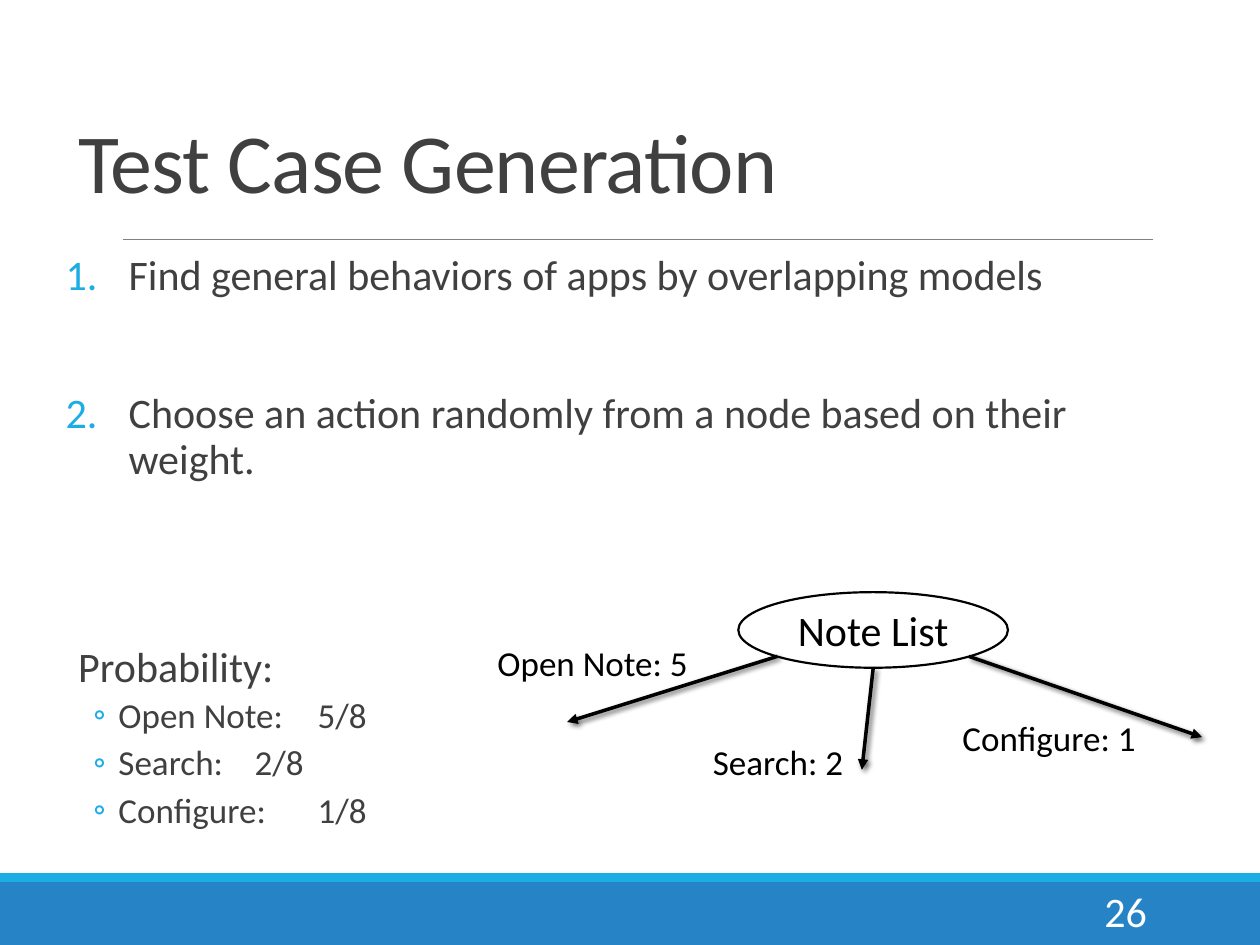
from lxml.etree import SubElement
from pptx import Presentation
from pptx.dml.color import RGBColor as Rgb
from pptx.enum.shapes import MSO_CONNECTOR as Connector, MSO_SHAPE as Shape
from pptx.enum.text import MSO_ANCHOR as Anchor, PP_ALIGN as Align
from pptx.oxml.ns import qn
from pptx.util import Pt

COLORS = {
    "band": "2683C6",
    "accent": "1CADE4",
    "rule": "808080",
    "text": "404040",
    "black": "000000",
    "white": "FFFFFF",
}


class SlideBuilder:
    font = "Calibri"

    def __init__(self, deck):
        self.slide = deck.slides.add_slide(deck.slide_layouts[6])

    def color(self, name):
        return Rgb.from_string(COLORS[name])

    def span(self, para, text, size, color, spacing=None):
        run = para.add_run()
        run.text = text
        run.font.name = self.font
        run.font.size = Pt(size)
        run.font.color.rgb = self.color(color)
        if spacing is not None:
            run.font._element.set("spc", str(int(spacing * 100)))

    def shape(self, kind, left, top, width, height, fill, line=None):
        shape = self.slide.shapes.add_shape(
            kind, Pt(left), Pt(top), Pt(width), Pt(height))
        shape.shadow.inherit = False
        shape.fill.solid()
        shape.fill.fore_color.rgb = self.color(fill)
        if line:
            shape.line.color.rgb = self.color(line)
            shape.line.width = Pt(1.25)
        else:
            shape.line.fill.background()
        return shape

    def text_frame(self, left, top, width, height, anchor=Anchor.TOP):
        box = self.slide.shapes.add_textbox(
            Pt(left), Pt(top), Pt(width), Pt(height))
        frame = box.text_frame
        frame.word_wrap = True
        frame.vertical_anchor = anchor
        return frame

    def label(self, text, left, top, width, height, size=20, color="black",
              align=Align.LEFT, anchor=Anchor.TOP):
        para = self.text_frame(left, top, width, height, anchor).paragraphs[0]
        para.alignment = align
        self.span(para, text, size, color)

    def line(self, start, end, color, width, arrow=False):
        line = self.slide.shapes.add_connector(
            Connector.STRAIGHT, *map(Pt, start + end))
        line.line.color.rgb = self.color(color)
        line.line.width = Pt(width)
        effects = SubElement(line._element.spPr, qn("a:effectLst"))
        if arrow:
            SubElement(line.line._ln, qn("a:tailEnd"), type="triangle")
            shadow = SubElement(
                effects, qn("a:outerShdw"), blurRad=str(Pt(3)),
                dist=str(Pt(2)), dir="2700000", algn="tl", rotWithShape="0")
            tint = SubElement(shadow, qn("a:srgbClr"), val=COLORS[color])
            SubElement(tint, qn("a:alpha"), val="60000")

    def list_item(self, para, text, size, before, after, margin,
                  hanging=0, bullet=None, level=0):
        para.level = level
        para.line_spacing = 0.9
        para.space_before, para.space_after = Pt(before), Pt(after)
        self.span(para, text, size, "text")
        props = para._p.get_or_add_pPr()
        props.set("marL", str(Pt(margin)))
        props.set("indent", str(-Pt(hanging)))
        if not bullet:
            SubElement(props, qn("a:buNone"))
            return
        tint = SubElement(props, qn("a:buClr"))
        SubElement(tint, qn("a:srgbClr"), val=COLORS["accent"])
        if bullet == "number":
            SubElement(props, qn("a:buFont"), typeface=self.font)
            SubElement(props, qn("a:buAutoNum"), type="arabicPeriod")
        else:
            SubElement(props, qn("a:buFont"), typeface=self.font)
            SubElement(props, qn("a:buChar"), char=bullet)


def main():
    deck = Presentation()
    deck.slide_width, deck.slide_height = Pt(720), Pt(540)
    page = SlideBuilder(deck)

    # Footer bands and title rule
    page.shape(Shape.RECTANGLE, 0, 504, 720, 36, "band")
    page.shape(Shape.RECTANGLE, 0, 499, 720, 5, "accent")
    page.line((70.5, 136.8), (658.8, 136.8), "rule", 0.5)

    # Title
    title = page.text_frame(37.5, 9.4, 648.7, 114.5, Anchor.BOTTOM)
    para = title.paragraphs[0]
    para.line_spacing = 0.85
    page.span(para, "Test Case Generation", 48, "text", spacing=-0.5)

    # Numbered steps and probabilities
    body = page.text_frame(37.5, 141.8, 648.7, 351.4)
    body.margin_left = body.margin_right = 0
    step = dict(size=24, after=2, margin=36, hanging=36, bullet="number")
    page.list_item(
        body.paragraphs[0],
        "Find general behaviors of apps by overlapping models",
        before=12, **step)
    page.list_item(
        body.add_paragraph(),
        "Choose an action randomly from a node based on their weight.",
        before=51, **step)
    page.list_item(body.add_paragraph(), "Probability:", size=24,
                   before=91, after=2, margin=7.2)
    for action, chance in (("Open Note:", "5/8"), ("Search:", "2/8"),
                           ("Configure:", "1/8")):
        page.list_item(body.add_paragraph(), f"{action}\t{chance}", size=20,
                       before=2, after=3.5, margin=30.2, hanging=14.4,
                       bullet="◦", level=1)

    # Page number
    page.label("26", 584.6, 506.2, 77.8, 28.8, size=24, color="white",
               align=Align.RIGHT, anchor=Anchor.MIDDLE)

    # Node with its weighted actions
    node = page.shape(Shape.OVAL, 421.9, 338.4, 154.1, 43.2, "white", "black")
    node.text_frame.vertical_anchor = Anchor.MIDDLE
    para = node.text_frame.paragraphs[0]
    para.alignment = Align.CENTER
    page.span(para, "Note List", 24, "black")

    actions = (
        ("Open Note: 5", (277.2, 362.9, 125.3, 25.2),
         (444.2, 375.1), (324, 412.6)),
        ("Search: 2", (400.3, 419.8, 98.6, 31.7),
         (499, 381.6), (492.5, 439.9)),
        ("Configure: 1", (542.9, 406.1, 130.3, 31.7),
         (553.7, 375.1), (686.9, 421.2)),
    )
    for text, place, start, end in actions:
        page.line(start, end, "black", 2, arrow=True)
        page.label(text, *place)

    deck.save("out.pptx")


if __name__ == "__main__":
    main()
